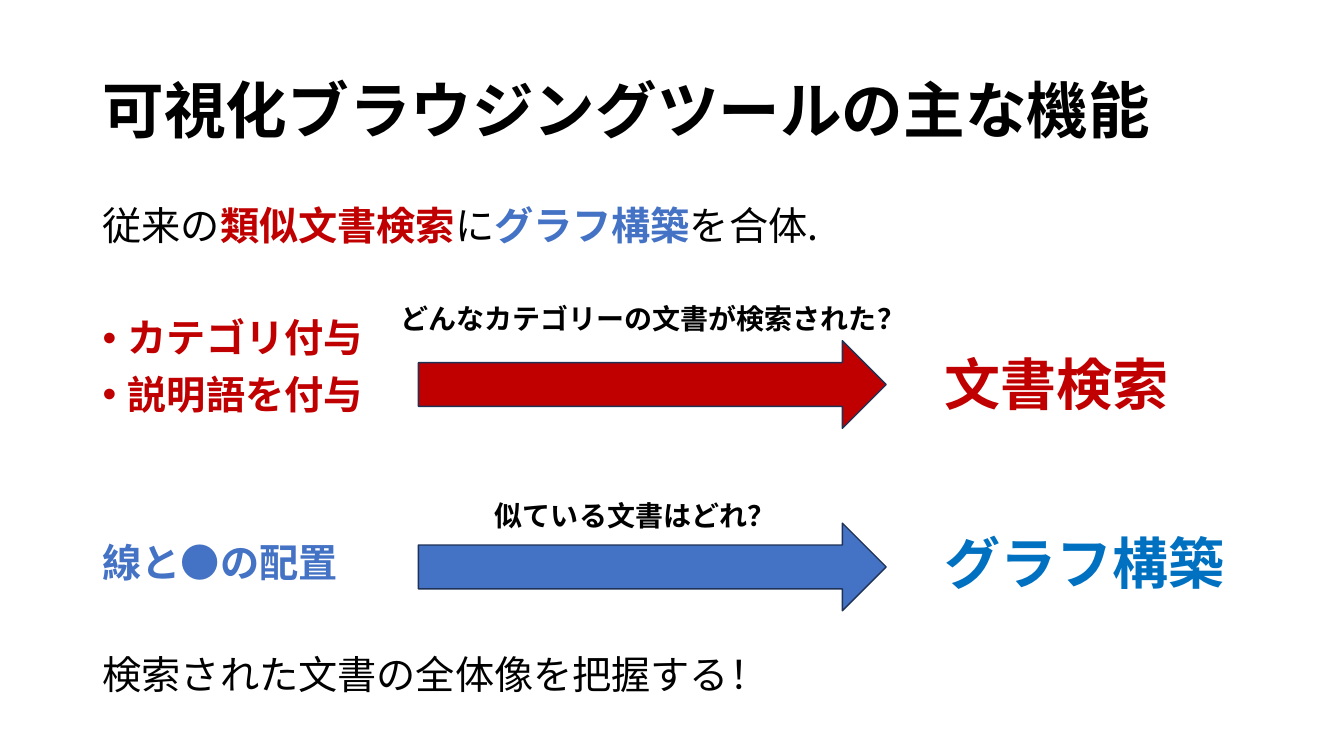
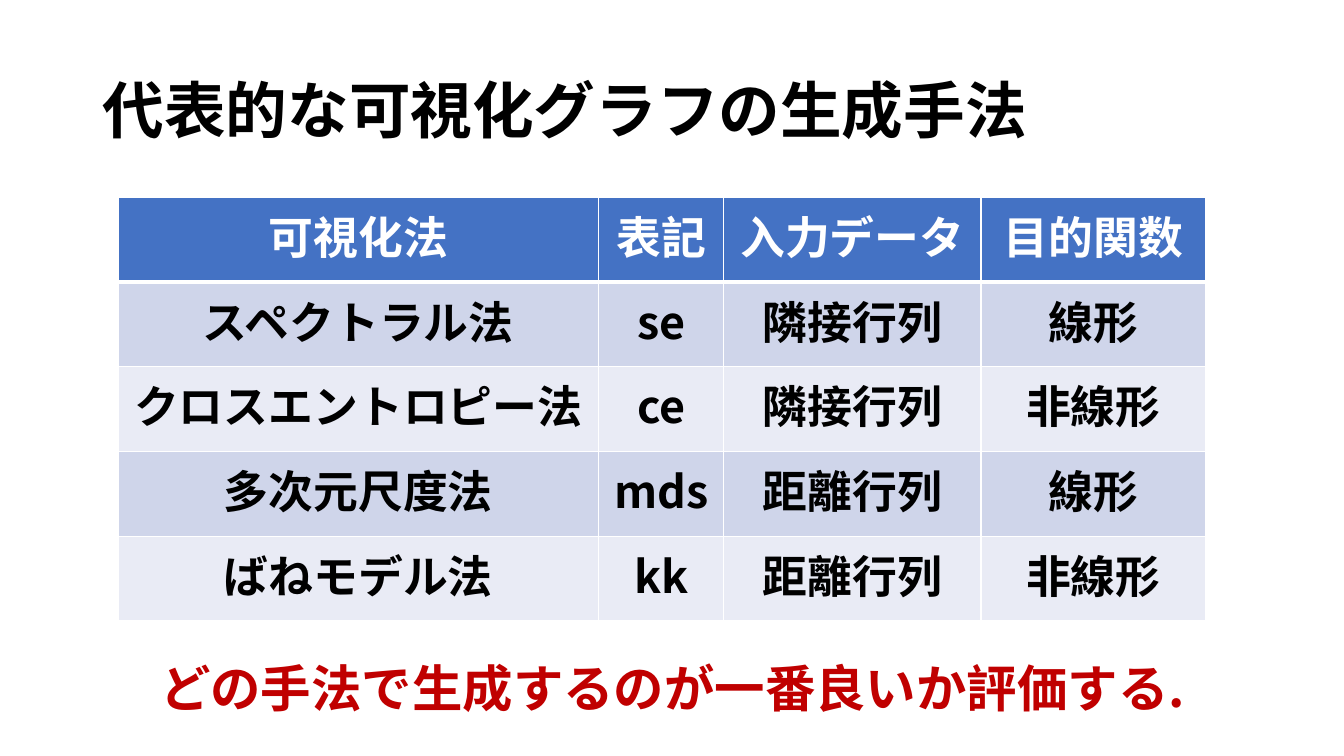
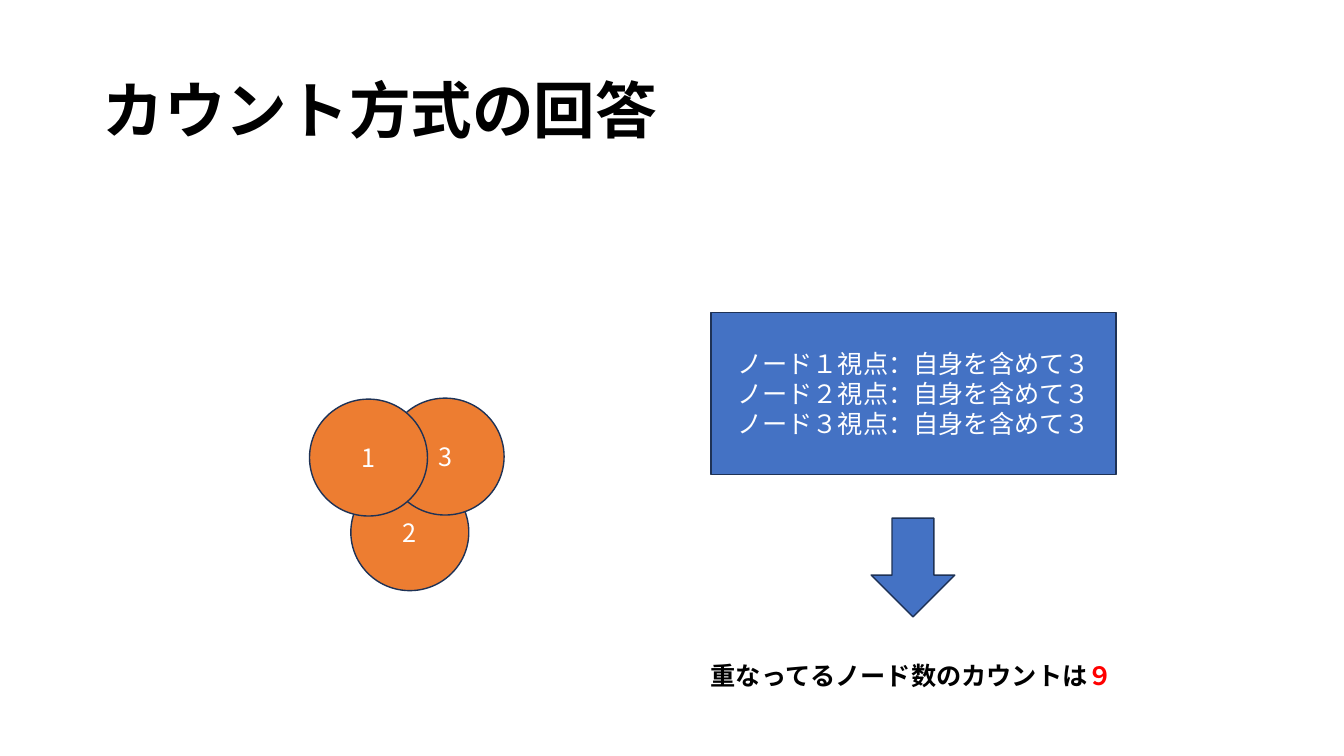
"""Build three slides on graph visualisation of document search."""
from lxml.etree import SubElement
from pptx import Presentation
from pptx.dml.color import RGBColor
from pptx.enum.shapes import MSO_SHAPE
from pptx.enum.text import MSO_ANCHOR, MSO_AUTO_SIZE, PP_ALIGN
from pptx.oxml.ns import qn
from pptx.util import Inches, Pt

FONT = "Noto Sans CJK JP"
BLACK = RGBColor(0x00, 0x00, 0x00)
WHITE = RGBColor(0xFF, 0xFF, 0xFF)
DARK_RED = RGBColor(0xC0, 0x00, 0x00)
RED = RGBColor(0xFF, 0x00, 0x00)
BLUE = RGBColor(0x44, 0x72, 0xC4)
BRIGHT_BLUE = RGBColor(0x00, 0x70, 0xC0)
ORANGE = RGBColor(0xED, 0x7D, 0x31)
OUTLINE = RGBColor(0x1E, 0x32, 0x56)
BANDS = (RGBColor(0xCF, 0xD5, 0xEA), RGBColor(0xE9, 0xEB, 0xF5))

CENTER = {"alignment": PP_ALIGN.CENTER}
TIGHT = {"line_spacing": 0.9}
GROW = {"auto_size": MSO_AUTO_SIZE.SHAPE_TO_FIT_TEXT}
MIDDLE = {"vertical_anchor": MSO_ANCHOR.MIDDLE}


def apply(target, values):
    for name, value in values.items():
        setattr(target, name, value)


def add_span(para, text, size, color=BLACK, bold=False):
    span = para.add_run()
    span.text = text
    apply(span.font, {"name": FONT, "size": Pt(size), "bold": bold})
    span.font.color.rgb = color
    SubElement(span.font._element, qn("a:ea"), typeface=FONT)


def add_bullet(para):
    properties = para._p.get_or_add_pPr()
    apply_indent = {"marL": Inches(0.25), "indent": -Inches(0.25)}
    for name, value in apply_indent.items():
        properties.set(name, str(int(value)))
    SubElement(properties, qn("a:buFont"), typeface="Arial")
    SubElement(properties, qn("a:buChar"), char="•")


def write(frame, paragraphs, size, layout):
    """Fill a frame with paragraphs, each a list of (text, color, bold) spans."""
    for index, spans in enumerate(paragraphs):
        para = frame.add_paragraph() if index else frame.paragraphs[0]
        apply(para, layout)
        for text, *look in spans:
            add_span(para, text, size, *look)
    return frame.paragraphs


def add_text(page, place, paragraphs, size, layout={}, frame_format=GROW):
    frame = page.shapes.add_textbox(*map(Inches, place)).text_frame
    apply(frame, {"word_wrap": True, **frame_format})
    return write(frame, paragraphs, size, layout)


def add_figure(page, kind, place, color, lines=()):
    shape = page.shapes.add_shape(kind, *map(Inches, place))
    shape.shadow.inherit = False
    shape.fill.solid()
    shape.fill.fore_color.rgb = color
    shape.line.color.rgb = OUTLINE
    shape.line.width = Pt(1)
    apply(shape.text_frame, MIDDLE)
    write(shape.text_frame, [[(line, WHITE)] for line in lines], 18, CENTER)


def add_page(deck, title):
    page = deck.slides.add_slide(deck.slide_layouts[6])
    add_text(page, (0.92, 0.4, 11.5, 1.45), [[(title, BLACK, True)]], 44, TIGHT, MIDDLE)
    return page


def add_border(cell, side, width):
    line = SubElement(cell._tc.get_or_add_tcPr(), qn(f"a:ln{side}"), w=str(Pt(width)))
    fill = SubElement(line, qn("a:solidFill"))
    SubElement(fill, qn("a:srgbClr"), val=str(WHITE))


def add_grid(page, left, top, widths, row_height, rows):
    frame = page.shapes.add_table(
        len(rows), len(widths), Inches(left), Inches(top),
        Inches(sum(widths)), Inches(row_height * len(rows)))
    table = frame.table
    for column, width in zip(table.columns, widths):
        column.width = Inches(width)
    for row_index, texts in enumerate(rows):
        table.rows[row_index].height = Inches(row_height)
        header = row_index == 0
        borders = {"L": 1, "R": 1, "T": 3 if row_index == 1 else 1, "B": 3 if header else 1}
        for cell, text in zip(table.rows[row_index].cells, texts):
            for side, width in borders.items():
                add_border(cell, side, width)
            cell.fill.solid()
            cell.fill.fore_color.rgb = BLUE if header else BANDS[(row_index - 1) % 2]
            color = WHITE if header else BLACK
            write(cell.text_frame, [[(text, color, True)]], 32, CENTER)


def build_features(deck):
    page = add_page(deck, "可視化ブラウジングツールの主な機能")
    body = [
        [("従来の",), ("類似文書検索", DARK_RED, True), ("に",),
         ("グラフ構築", BLUE, True), ("を合体.",)],
        [("カテゴリ付与", DARK_RED, True)],
        [("説明語を付与", DARK_RED, True)],
        [("線と●の配置", BLUE, True)],
        [("検索された文書の全体像を把握する！",)],
    ]
    paras = add_text(page, (0.92, 2, 11.5, 5.17), body, 28, TIGHT, {})
    for para, gap in zip(paras[1:], (50, 10, 90, 50)):
        para.space_before = Pt(gap)
    for para in paras[1:3]:
        add_bullet(para)
    for top, color in ((3.38, DARK_RED), (5.19, BLUE)):
        add_figure(page, MSO_SHAPE.RIGHT_ARROW, (4.15, top, 4.64, 0.87), color)
    labels = [
        ((9.27, 3.42, 2.51, 0.77), "文書検索", 40, DARK_RED),
        ((9.27, 5.19, 3.71, 0.77), "グラフ構築", 40, BRIGHT_BLUE),
        ((4.81, 4.9, 2.99, 0.44), "似ている文書はどれ？", 20, BLACK),
        ((3.87, 2.94, 5.21, 0.44), "どんなカテゴリーの文書が検索された？", 20, BLACK),
    ]
    for place, text, size, color in labels:
        add_text(page, place, [[(text, color, True)]], size)


def build_methods(deck):
    page = add_page(deck, "代表的な可視化グラフの生成手法")
    rows = [
        ("可視化法", "表記", "入力データ", "目的関数"),
        ("スペクトラル法", "se", "隣接行列", "線形"),
        ("クロスエントロピー法", "ce", "隣接行列", "非線形"),
        ("多次元尺度法", "mds", "距離行列", "線形"),
        ("ばねモデル法", "kk", "距離行列", "非線形"),
    ]
    add_grid(page, 1.17, 1.96, (4.77, 1.24, 2.55, 2.23), 0.84, rows)
    question = "どの手法で生成するのが一番良いか評価する."
    add_text(page, (1.37, 6.47, 10.6, 0.71), [[(question, DARK_RED, True)]], 36, CENTER)


def build_count(deck):
    page = add_page(deck, "カウント方式の回答")
    for number, left, top in (("2", 3.48, 4.7), ("3", 3.83, 3.95), ("1", 3.07, 3.96)):
        add_figure(page, MSO_SHAPE.OVAL, (left, top, 1.17, 1.16), ORANGE, [number])
    views = [f"ノード{number}視点：自身を含めて３" for number in "１２３"]
    add_figure(page, MSO_SHAPE.RECTANGLE, (7.05, 3.1, 4.02, 1.61), BLUE, views)
    add_figure(page, MSO_SHAPE.DOWN_ARROW, (8.64, 5.14, 0.83, 0.98), BLUE)
    total = [("重なってるノード数のカウントは", BLACK, True), ("９", RED, True)]
    add_text(page, (6.95, 6.5, 4.21, 0.4), [total], 18)


def main():
    deck = Presentation()
    deck.slide_width, deck.slide_height = Inches(13.33), Inches(7.5)
    for build in (build_features, build_methods, build_count):
        build(deck)
    deck.save("out.pptx")


if __name__ == "__main__":
    main()
